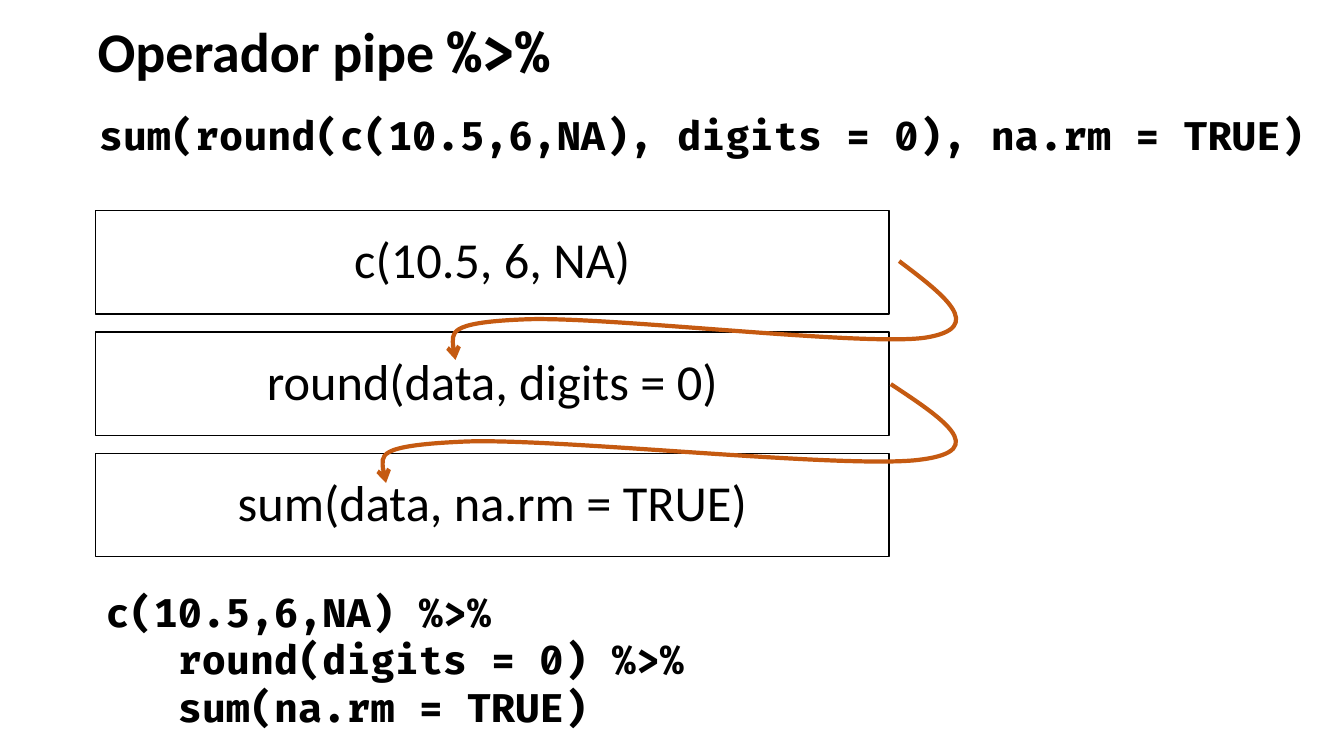
from lxml import etree
from pptx import Presentation
from pptx.dml.color import RGBColor
from pptx.enum import shapes, text
from pptx.oxml import ns
from pptx.util import Cm, Pt

SANS, CODE = "Calibri", "Fira Code"
BLACK, WHITE, ORANGE = "000000", "FFFFFF", "C55A11"


def color(value):
    return RGBColor.from_string(value)


def format_run(r, size, font, bold=False):
    r.font.size = Pt(size)
    r.font.name = font
    r.font.bold = bold
    r.font.color.rgb = color(BLACK)


def add_step(s, top, label):
    sp = s.shapes.add_shape(shapes.MSO_SHAPE.RECTANGLE, Cm(2.41), Cm(top), Cm(20), Cm(2.6))
    sp.shadow.inherit = False
    sp.fill.solid()
    sp.fill.fore_color.rgb = color(WHITE)
    sp.line.color.rgb = color(BLACK)
    sp.line.width = Pt(1)
    tf = sp.text_frame
    tf.word_wrap = True
    tf.vertical_anchor = text.MSO_ANCHOR.MIDDLE
    p = tf.paragraphs[0]
    p.text = label
    p.alignment = text.PP_ALIGN.CENTER
    p.line_spacing = 0.9
    format_run(p.runs[0], 36, SANS)


def add_text(s, left, top, width, height, size, lines):
    sp = s.shapes.add_textbox(Cm(left), Cm(top), Cm(width), Cm(height))
    tf = sp.text_frame
    tf.word_wrap = True
    tf.auto_size = text.MSO_AUTO_SIZE.SHAPE_TO_FIT_TEXT
    for i, line in enumerate(lines):
        p = tf.add_paragraph() if i else tf.paragraphs[0]
        for content, font in line:
            r = p.add_run()
            r.text = content
            format_run(r, size, font, bold=True)


def add_curved_arrow(s, left, top, width, height, start, curves):
    builder = s.shapes.build_freeform(Cm(left), Cm(top))
    builder.add_line_segments([(Cm(left + width), Cm(top + height))], close=False)
    sp = builder.convert_to_shape()
    sp.shadow.inherit = False
    sp.fill.background()
    sp.line.color.rgb = color(ORANGE)
    sp.line.width = Pt(3)
    outline = sp._element.find(".//" + ns.qn("a:path"))
    for child in list(outline):
        outline.remove(child)
    commands = [("a:moveTo", [start])] + [("a:cubicBezTo", c) for c in curves]
    for tag, points in commands:
        command = etree.SubElement(outline, ns.qn(tag))
        for x, y in points:
            etree.SubElement(command, ns.qn("a:pt"), x=str(Cm(x - left)), y=str(Cm(y - top)))
    etree.SubElement(sp.line._get_or_add_ln(), ns.qn("a:tailEnd"), type="arrow")


def main():
    prs = Presentation()
    prs.slide_width, prs.slide_height = Cm(33.87), Cm(19.05)
    s = prs.slides.add_slide(prs.slide_layouts[6])

    steps = ["c(10.5, 6, NA)", "round(data, digits = 0)", "sum(data, na.rm = TRUE)"]
    for i, label in enumerate(steps):
        add_step(s, 5.31 + i * 3.06, label)

    add_curved_arrow(s, 11.43, 6.58, 12.67, 2.49, (22.66, 6.58), [
        [(23.77, 7.42), (24.89, 8.26), (23.32, 8.51)],
        [(21.74, 8.74), (15.16, 7.95), (13.18, 8.05)],
        [(11.23, 8.13), (11.35, 8.61), (11.48, 9.07)],
    ])
    add_curved_arrow(s, 9.65, 9.68, 14.45, 2.49, (22.45, 9.68), [
        [(23.72, 10.52), (24.99, 11.35), (23.22, 11.58)],
        [(21.41, 11.84), (13.92, 11.02), (11.66, 11.13)],
        [(9.42, 11.23), (9.58, 11.68), (9.73, 12.17)],
    ])

    add_text(s, 2.24, 2.67, 31.09, 1.45, 28,
             [[("sum(round(c(10.5,6,NA), digits = 0), na.rm = TRUE)", CODE)]])
    add_text(s, 2.21, 0.3, 31.09, 1.96, 40,
             [[("Operador pipe ", SANS), ("%>%", CODE)]])
    pipeline = ["c(10.5,6,NA) %>%", "   round(digits = 0) %>%", "   sum(na.rm = TRUE)"]
    add_text(s, 2.41, 14.71, 16.94, 3.84, 28, [[(line, CODE)] for line in pipeline])

    prs.save("out.pptx")


if __name__ == "__main__":
    main()
